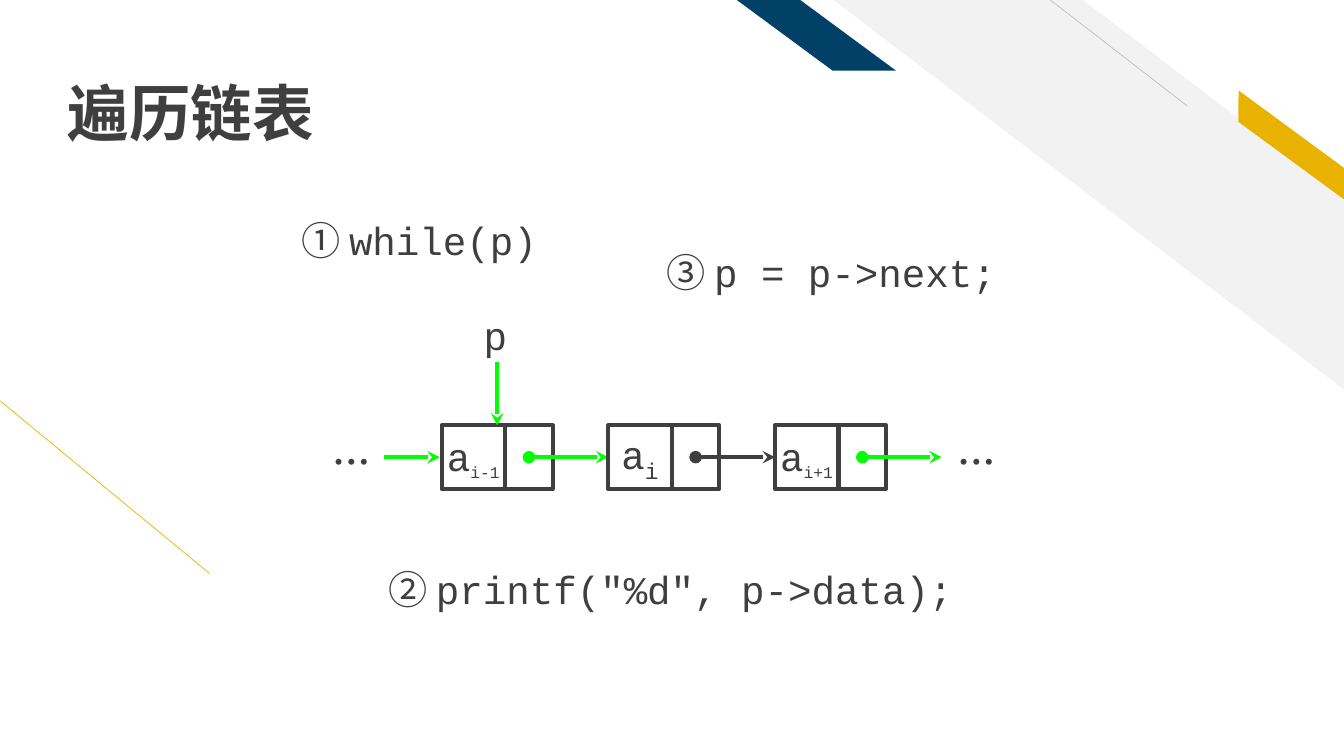
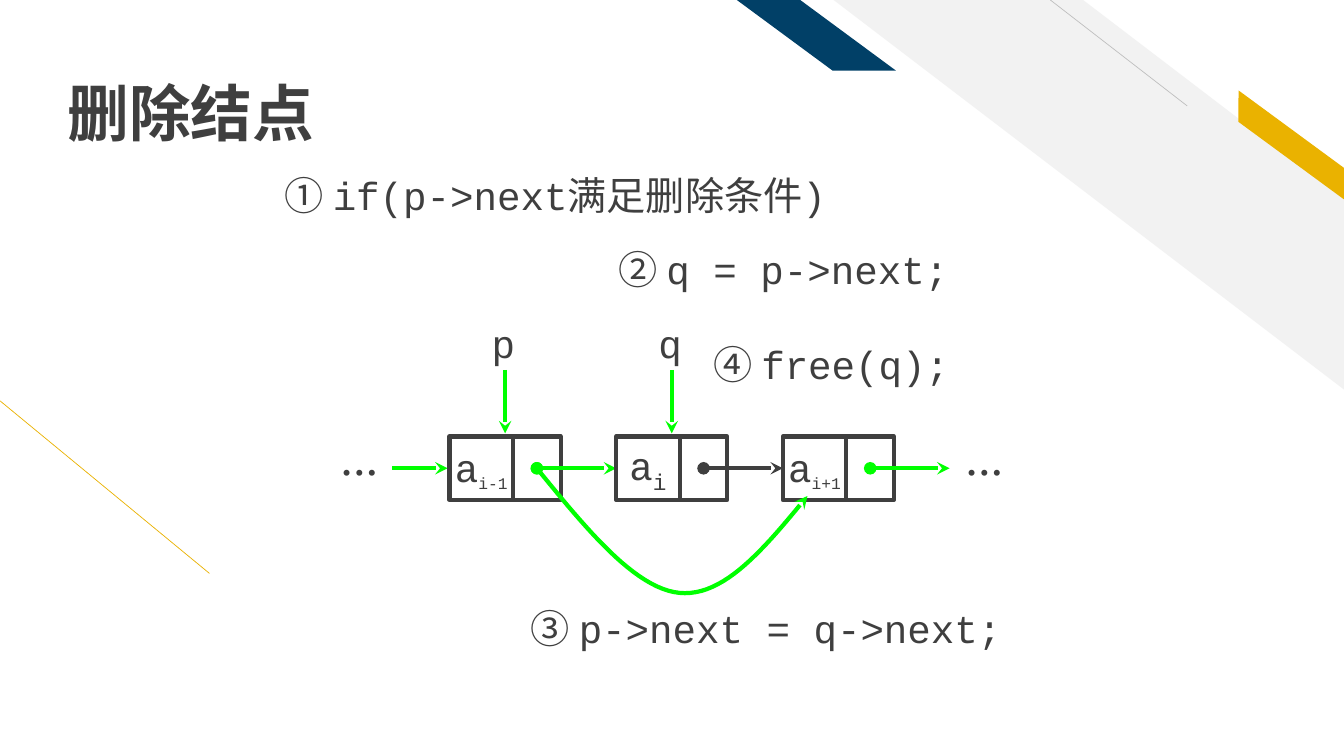
from lxml.etree import SubElement
from pptx import Presentation
from pptx.dml.color import RGBColor
from pptx.enum.shapes import MSO_CONNECTOR, MSO_SHAPE
from pptx.enum.text import MSO_ANCHOR, PP_ALIGN
from pptx.oxml.ns import qn
from pptx.util import Cm, Pt

# Shared style
INK, GREEN, GOLD, NAVY = "3F3F3F", "00FF00", "EAB200", "014067"
PALE, GRAY = "F2F2F2", "BFBFBF"
SANS, MONO, SERIF = "Noto Sans CJK SC", "Courier New", "Times New Roman"

# Linked list geometry, in cm
DATA_W, NEXT_W, NODE_H, PITCH = 1.6, 1.2, 1.6, 4.2
NODE_W = DATA_W + NEXT_W
DOT_X, MID_Y = DATA_W + NEXT_W / 2, NODE_H / 2
NODES = [("i-1", 20, GREEN), ("i", 28, INK), ("i+1", 20, GREEN)]


def rgb(color):
    return RGBColor.from_string(color)


def add_run(p, text, size=28, font=MONO, color=INK, bold=False, baseline=0):
    r = p.add_run()
    r.text = text
    r.font.size, r.font.name, r.font.bold = Pt(size), font, bold
    r.font.color.rgb = rgb(color)
    rPr = r.font._element
    SubElement(rPr, qn("a:ea")).set("typeface", SANS)
    if baseline:
        rPr.set("baseline", str(baseline * 1000))


def set_ends(shape, head, tail):
    ln = shape._element.spPr.find(qn("a:ln"))
    for tag, kind in (("a:headEnd", head), ("a:tailEnd", tail)):
        if kind:
            SubElement(ln, qn(tag)).set("type", kind)


def bezier(p0, p1, p2, p3, steps=24):
    for i in range(1, steps + 1):
        t = i / steps
        u = 1 - t
        yield tuple(u**3 * a + 3 * u * u * t * b + 3 * u * t * t * c + t**3 * d
                    for a, b, c, d in zip(p0, p1, p2, p3))


class Deck:
    def __init__(self):
        self.prs = Presentation()
        self.prs.slide_width, self.prs.slide_height = Cm(33.87), Cm(19.05)
        self.s = None

    def slide(self, title):
        self.s = self.prs.slides.add_slide(self.prs.slide_layouts[6])
        # Decoration
        self.line(5.28, 14.45, 0, 10.1, GOLD, 0.5)
        self.shape(MSO_SHAPE.DIAGONAL_STRIPE, 21.01, 0, 12.88, 9.83,
                   fill=PALE, adj=0.512, flip=True)
        self.line(29.92, 2.67, 26.47, 0, GRAY, 0.5)
        self.shape(MSO_SHAPE.PARALLELOGRAM, 30.66, 3.33, 3.76, 0.64,
                   fill=GOLD, adj=0.72, flip=True, rotation=36.3)
        self.shape(MSO_SHAPE.PARALLELOGRAM, 18.57, 0, 4.01, 1.78,
                   fill=NAVY, adj=1.356, flip=True)
        # Title
        tf = self.text(1.45, 0.58, 23.14, 3.2, [(title, dict(size=44, font=SANS, bold=True))])
        tf.vertical_anchor, tf.margin_bottom = MSO_ANCHOR.BOTTOM, 0
        tf.paragraphs[0].line_spacing = 0.9

    def shape(self, kind, x, y, w, h, fill=None, line=None, adj=None, flip=False, rotation=0):
        sp = self.s.shapes.add_shape(kind, Cm(x), Cm(y), Cm(w), Cm(h))
        sp.shadow.inherit = False
        sp.rotation = rotation
        if adj is not None:
            sp.adjustments[0] = adj
        if flip:
            sp._element.spPr.xfrm.set("flipH", "1")
        if fill:
            sp.fill.solid()
            sp.fill.fore_color.rgb = rgb(fill)
        else:
            sp.fill.background()
        if line:
            sp.line.color.rgb, sp.line.width = rgb(line), Pt(3)
        else:
            sp.line.fill.background()
        return sp

    def line(self, x1, y1, x2, y2, color=GREEN, width=3, head=None, tail=None):
        c = self.s.shapes.add_connector(MSO_CONNECTOR.STRAIGHT, Cm(x1), Cm(y1), Cm(x2), Cm(y2))
        c.line.color.rgb, c.line.width = rgb(color), Pt(width)
        set_ends(c, head, tail)
        SubElement(c._element.spPr, qn("a:effectLst"))

    def curve(self, points):
        """Draw joined cubic curves: a start, then three points for each curve."""
        scale = Cm(1)
        fb = self.s.shapes.build_freeform(*(round(v * scale) for v in points[0]))
        dots = [d for i in range(0, len(points) - 1, 3) for d in bezier(*points[i:i + 4])]
        fb.add_line_segments([(round(x * scale), round(y * scale)) for x, y in dots], close=False)
        sp = fb.convert_to_shape()
        sp.shadow.inherit = False
        sp.fill.background()
        sp.line.color.rgb, sp.line.width = rgb(GREEN), Pt(3)
        set_ends(sp, "oval", "stealth")

    def text(self, x, y, w, h, runs, wrap=True):
        tf = self.s.shapes.add_textbox(Cm(x), Cm(y), Cm(w), Cm(h)).text_frame
        tf.word_wrap = wrap
        for text, fmt in runs:
            add_run(tf.paragraphs[0], text, **fmt)
        return tf

    def step(self, number, code, x, y, w):
        self.text(x, y, w, 1.45, [(number + " ", dict(font=SANS)), (code, {})])

    def node(self, x, y, index, size, color):
        cell = self.shape(MSO_SHAPE.RECTANGLE, x, y, DATA_W, NODE_H, line=INK)
        tf = cell.text_frame
        tf.word_wrap, tf.vertical_anchor = False, MSO_ANCHOR.MIDDLE
        p = tf.paragraphs[0]
        p.alignment = PP_ALIGN.CENTER
        add_run(p, "a")
        add_run(p, index, size=size, baseline=-25)
        self.shape(MSO_SHAPE.RECTANGLE, x + DATA_W, y, NEXT_W, NODE_H, line=INK)
        self.line(x + DOT_X, y + MID_Y, x + PITCH, y + MID_Y, color, head="oval", tail="stealth")

    def linked_list(self, x, y):
        self.line(x - 1.45, y + MID_Y, x - 0.05, y + MID_Y, tail="stealth")
        for i, node in enumerate(NODES):
            self.node(x + i * PITCH, y, *node)
        for left in (x - 3, x + 12.75):
            self.text(left, y - 0.4, 1.47, 1.78, [("...", dict(size=36, font=SERIF))], wrap=False)

    def pointer(self, name, node_x, tip_y):
        x = node_x + NODE_W / 2
        self.line(x, tip_y - 1.6, x, tip_y, tail="stealth")
        self.text(x - 0.59, tip_y - 3, 1.09, 1.45, [(name, {})], wrap=False)


def main():
    deck = Deck()

    # Traversal
    x, y = 11.13, 10.72
    deck.slide("遍历链表")
    deck.linked_list(x, y)
    deck.pointer("p", x, y)
    deck.step("①", "while(p)", 7.34, 5.33, 6.73)
    deck.step("②", 'printf("%d", p->data);', 9.53, 14.12, 15.01)
    deck.step("③", "p = p->next;", 16.54, 6.12, 9.09)

    # Deletion
    x, y = 11.33, 11
    deck.slide("删除结点")
    deck.linked_list(x, y)
    bypass = [(DOT_X, MID_Y), (3.43, 2.31), (4.67, 3.83), (5.79, 3.94),
              (6.93, 4.06), (7.97, 2.77), (9.02, 1.5)]
    deck.curve([(x + dx, y + dy) for dx, dy in bypass])
    for i, name in enumerate("pq"):
        deck.pointer(name, x + i * PITCH, y - 0.08)
    deck.step("①", "if(p->next满足删除条件)", 6.93, 4.19, 14.45)
    deck.step("②", "q = p->next;", 15.34, 6.05, 9.09)
    deck.step("③", "p->next = q->next;", 13.13, 15.11, 12.65)
    deck.step("④", "free(q);", 17.73, 8.46, 6.73)

    deck.prs.save("out.pptx")


if __name__ == "__main__":
    main()
